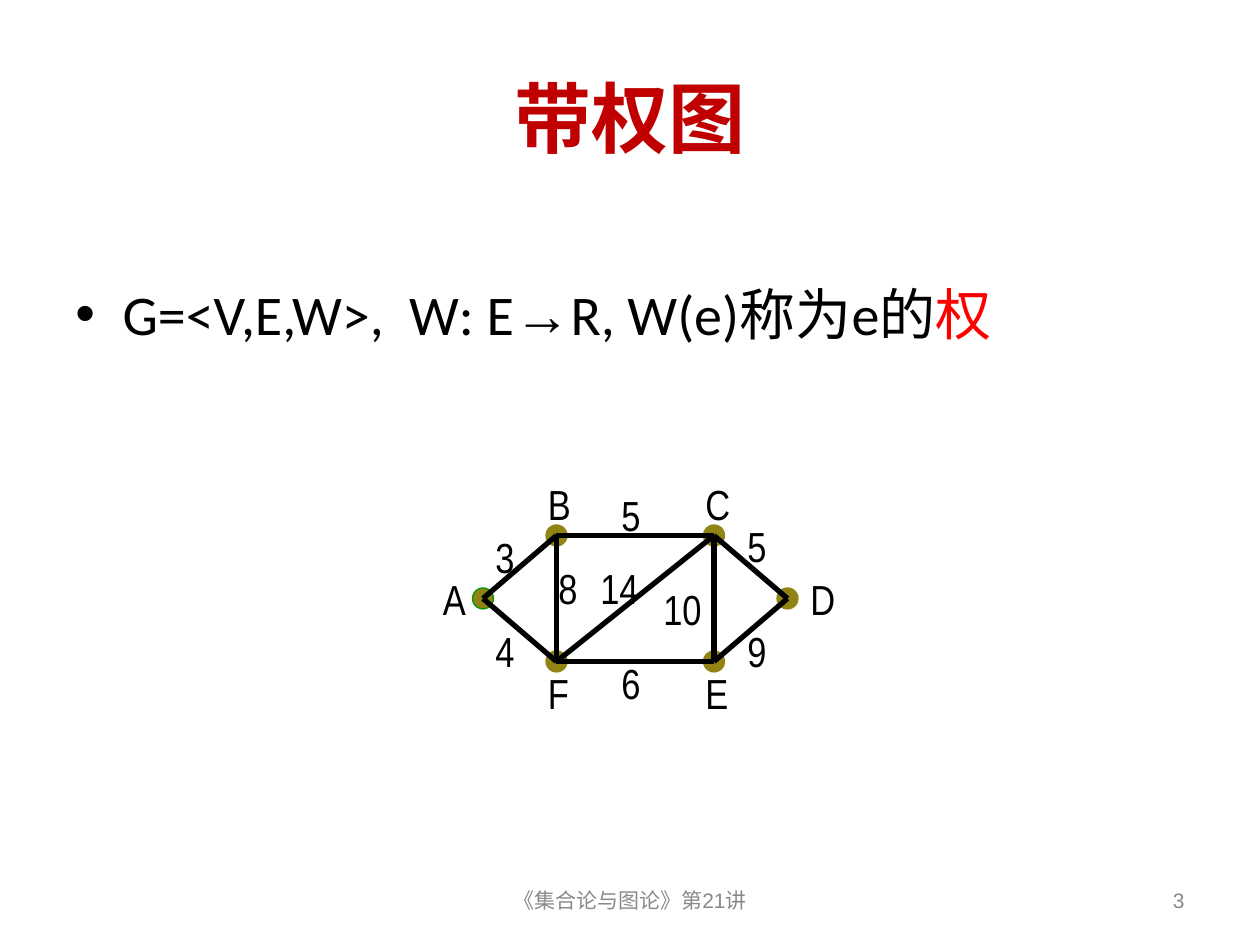
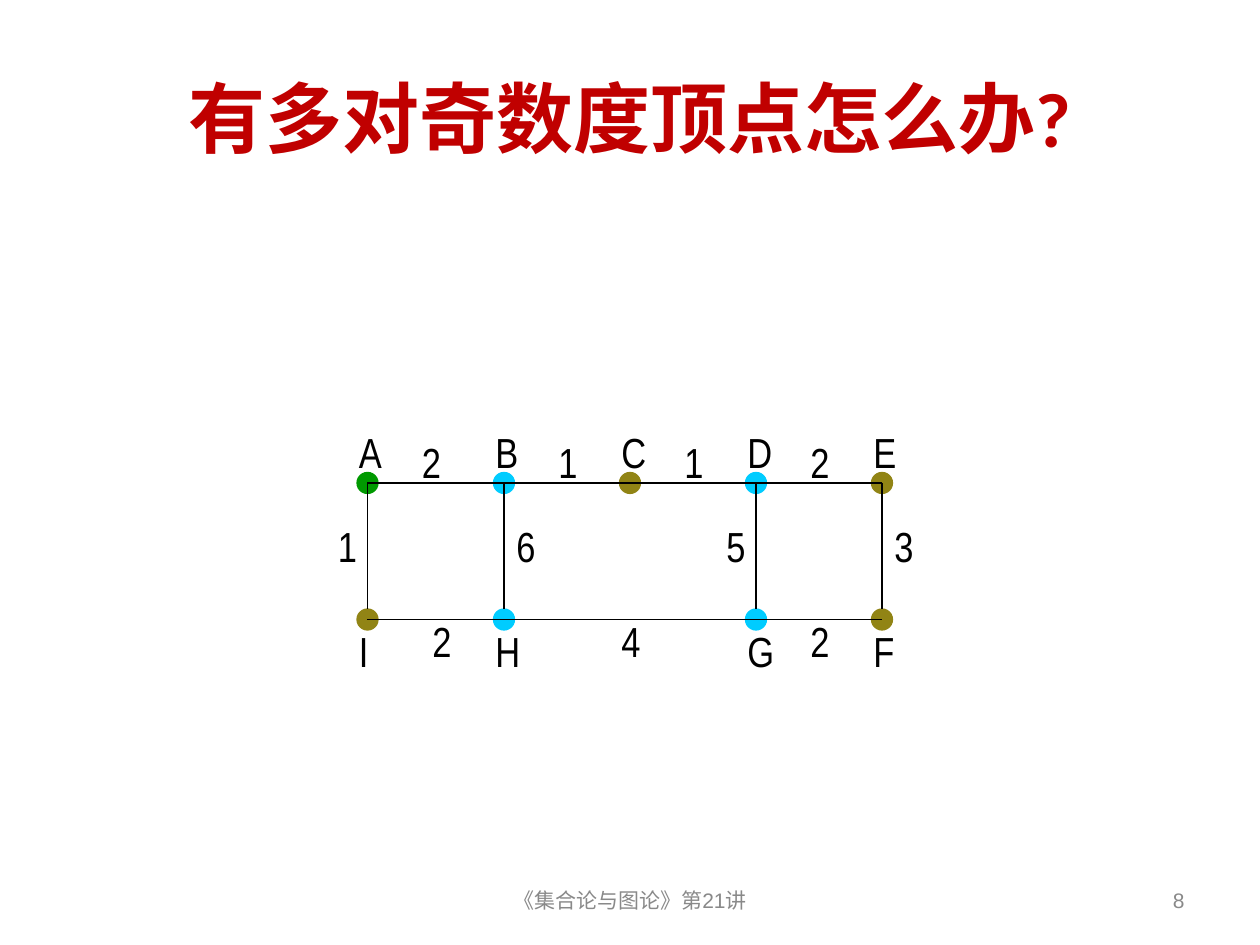
"""Build two slides on weighted graphs."""
from dataclasses import dataclass
from typing import NamedTuple

from pptx import Presentation
from pptx.dml.color import RGBColor
from pptx.enum.shapes import MSO_CONNECTOR, MSO_SHAPE
from pptx.enum.text import MSO_ANCHOR, MSO_AUTO_SIZE, PP_ALIGN
from pptx.oxml.ns import qn
from pptx.util import Emu, Pt
from lxml.etree import SubElement

PX = 9525
RED, BRIGHT_RED, GREY, BLACK = "C00000", "FF0000", "898989", "000000"
OLIVE, GREEN, CYAN = "918415", "009900", "00CCFF"
HEADING, PLAIN, NARROW = "Calibri", "Arial", "Arial Narrow"
RADIUS = 8
FOOTER = "《集合论与图论》第21讲"


class Box(NamedTuple):
    """A rectangle in px."""
    x: int
    y: int
    w: int
    h: int


@dataclass
class Vertex:
    """A named vertex: its centre, the offset of its name, and its colours."""
    name: str
    x: int
    y: int
    dx: int
    dy: int
    fill: str = OLIVE
    line: str = ""


class Edge(NamedTuple):
    """A straight line between two points."""
    x1: int
    y1: int
    x2: int
    y2: int


class Weight(NamedTuple):
    """An edge weight with the corner of its label."""
    text: str
    x: int
    y: int


def px(n: int) -> Emu:
    """Turn px into EMU."""
    return Emu(n * PX)


def rgb(color: str) -> RGBColor:
    """Turn a hex string into a colour."""
    return RGBColor.from_string(color)


def add_run(p, text: str, *, size: int, font: str = HEADING,
            color: str = BLACK, bold: bool = False) -> None:
    """Append a formatted run to a paragraph."""
    r = p.add_run()
    r.text = text
    r.font.size, r.font.name, r.font.bold = Pt(size), font, bold
    r.font.color.rgb = rgb(color)


def add_text(s, box: Box, text: str = "", *, align=PP_ALIGN.LEFT,
             anchor=MSO_ANCHOR.TOP, before: int = 0, grow: bool = False, **fmt):
    """Add a text box and return its paragraph."""
    tf = s.shapes.add_textbox(*map(px, box)).text_frame
    tf.word_wrap = True
    tf.vertical_anchor = anchor
    tf.auto_size = MSO_AUTO_SIZE.SHAPE_TO_FIT_TEXT if grow else MSO_AUTO_SIZE.NONE
    p = tf.paragraphs[0]
    p.alignment, p.space_before = align, Pt(before)
    if text:
        add_run(p, text, **fmt)
    return p


def add_bullet(p, indent: int) -> None:
    """Give a paragraph a round bullet with a hanging indent."""
    pPr = p._p.get_or_add_pPr()
    pPr.set("marL", str(px(indent)))
    pPr.set("indent", str(-px(indent)))
    SubElement(pPr, qn("a:buFont"), typeface=PLAIN)
    SubElement(pPr, qn("a:buChar"), char="•")


def add_label(s, text: str, x: int, y: int, width: int) -> None:
    """Write a vertex name or an edge weight."""
    add_text(s, Box(x, y, width, 48), text, before=15, grow=True,
             size=24, font=NARROW)


def add_vertex(s, v: Vertex) -> None:
    """Draw the dot of a vertex."""
    sp = s.shapes.add_shape(MSO_SHAPE.OVAL, px(v.x - RADIUS), px(v.y - RADIUS),
                            px(2 * RADIUS), px(2 * RADIUS))
    sp.shadow.inherit = False
    sp.fill.solid()
    sp.fill.fore_color.rgb = rgb(v.fill)
    sp.line.color.rgb = rgb(v.line or v.fill)
    sp.line.width = Pt(0.75)


def add_edge(s, edge: Edge, width: float) -> None:
    """Draw an edge as a black line."""
    c = s.shapes.add_connector(MSO_CONNECTOR.STRAIGHT, *map(px, edge))
    c.line.color.rgb = rgb(BLACK)
    c.line.width = Pt(width)
    SubElement(c._element.spPr, qn("a:effectLst"))


def add_graph(s, vertices: list[Vertex], edges: list[Edge],
              weights: list[Weight], line: float, width: int) -> None:
    """Draw the dots, then the edges, then all labels."""
    for v in vertices:
        add_vertex(s, v)
    for edge in edges:
        add_edge(s, edge, line)
    for v in vertices:
        add_label(s, v.name, v.x + v.dx, v.y + v.dy, width)
    for w in weights:
        add_label(s, w.text, w.x, w.y, width + 16 * (len(w.text) - 1))


def add_slide(prs, title: str, number: int):
    """Add a blank slide with the shared title and footer."""
    s = prs.slides.add_slide(prs.slide_layouts[6])
    middle = MSO_ANCHOR.MIDDLE
    add_text(s, Box(48, 29, 864, 120), title, align=PP_ALIGN.CENTER,
             anchor=middle, size=44, color=RED, bold=True)
    small = dict(anchor=middle, size=12, font=PLAIN, color=GREY)
    add_text(s, Box(328, 667, 304, 38), FOOTER, align=PP_ALIGN.CENTER, **small)
    add_text(s, Box(688, 667, 224, 38), str(number), align=PP_ALIGN.RIGHT, **small)
    return s


def build_weighted_graph(prs) -> None:
    """Build the slide that defines a weighted graph."""
    s = add_slide(prs, "带权图", 3)
    p = add_text(s, Box(48, 208, 864, 129), before=8)
    add_bullet(p, 36)
    add_run(p, "G=<V,E,W>,  W: E", size=32)
    add_run(p, "→", size=32, font=PLAIN)
    add_run(p, "R, W(e)称为e的", size=32)
    add_run(p, "权", size=32, color=BRIGHT_RED)

    top, middle, bottom = 408, 456, 504
    vertices = [
        Vertex("A", 368, middle, -40, -24, line=GREEN),
        Vertex("B", 424, top, -16, -48),
        Vertex("C", 544, top, -16, -48),
        Vertex("D", 600, middle, 8, -24),
        Vertex("E", 544, bottom, -16, 0),
        Vertex("F", 424, bottom, -16, 0),
    ]
    at = {v.name: (v.x, v.y) for v in vertices}
    edges = [Edge(*at[a], *at[b])
             for a, b in ("BC", "FE", "AB", "AF", "CD", "ED", "BF", "FC", "CE")]
    weights = [
        Weight("3", 368, 400), Weight("4", 368, 472), Weight("8", 416, 424),
        Weight("14", 448, 424), Weight("5", 464, 368), Weight("6", 464, 496),
        Weight("10", 496, 440), Weight("5", 560, 392), Weight("9", 560, 472),
    ]
    add_graph(s, vertices, edges, weights, line=3, width=40)


def build_odd_vertices(prs) -> None:
    """Build the slide on several pairs of odd vertices."""
    s = add_slide(prs, "有多对奇数度顶点怎么办?", 8)
    columns = [280, 384, 480, 576, 672]
    left, right = columns[0], columns[-1]
    top, bottom = 368, 472
    colors = {"A": GREEN, **dict.fromkeys("BDGH", CYAN)}
    vertices = [Vertex(name, x, y, -16, dy, colors.get(name, OLIVE))
                for names, y, dy in (("ABCDE", top, -48), ("IH GF", bottom, 0))
                for name, x in zip(names, columns) if name != " "]
    edges = [Edge(x, top, x, bottom - RADIUS) for x in columns if x != columns[2]]
    edges += [Edge(left, y, right, y) for y in (top, bottom)]
    rows = [
        ("2112", (312, 416, 512, 608), 328),
        ("1653", (248, 384, 544, 672), 392),
        ("242", (320, 464, 608), 464),
    ]
    weights = [Weight(text, x, y) for texts, xs, y in rows
               for text, x in zip(texts, xs)]
    add_graph(s, vertices, edges, weights, line=0.75, width=48)


def main() -> None:
    """Build and save the presentation."""
    prs = Presentation()
    prs.slide_width, prs.slide_height = px(960), px(720)
    build_weighted_graph(prs)
    build_odd_vertices(prs)
    prs.save("out.pptx")


if __name__ == "__main__":
    main()
